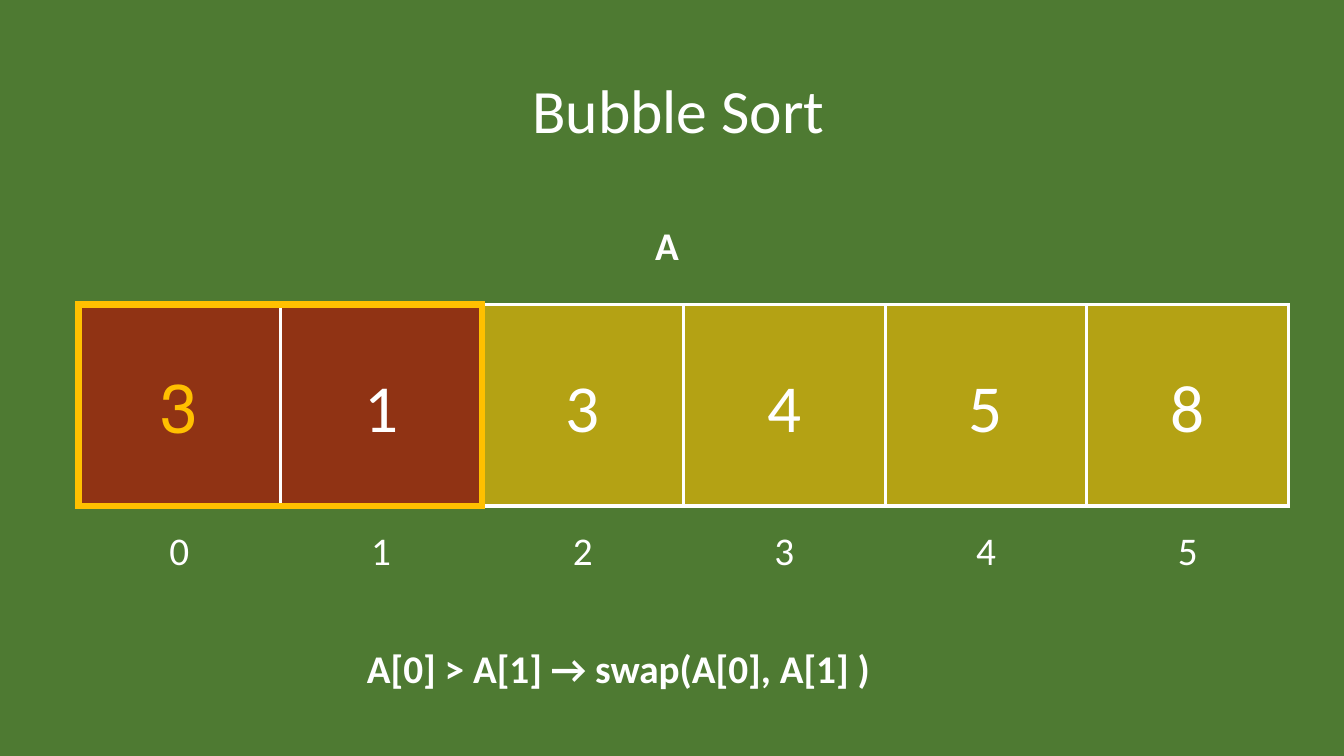
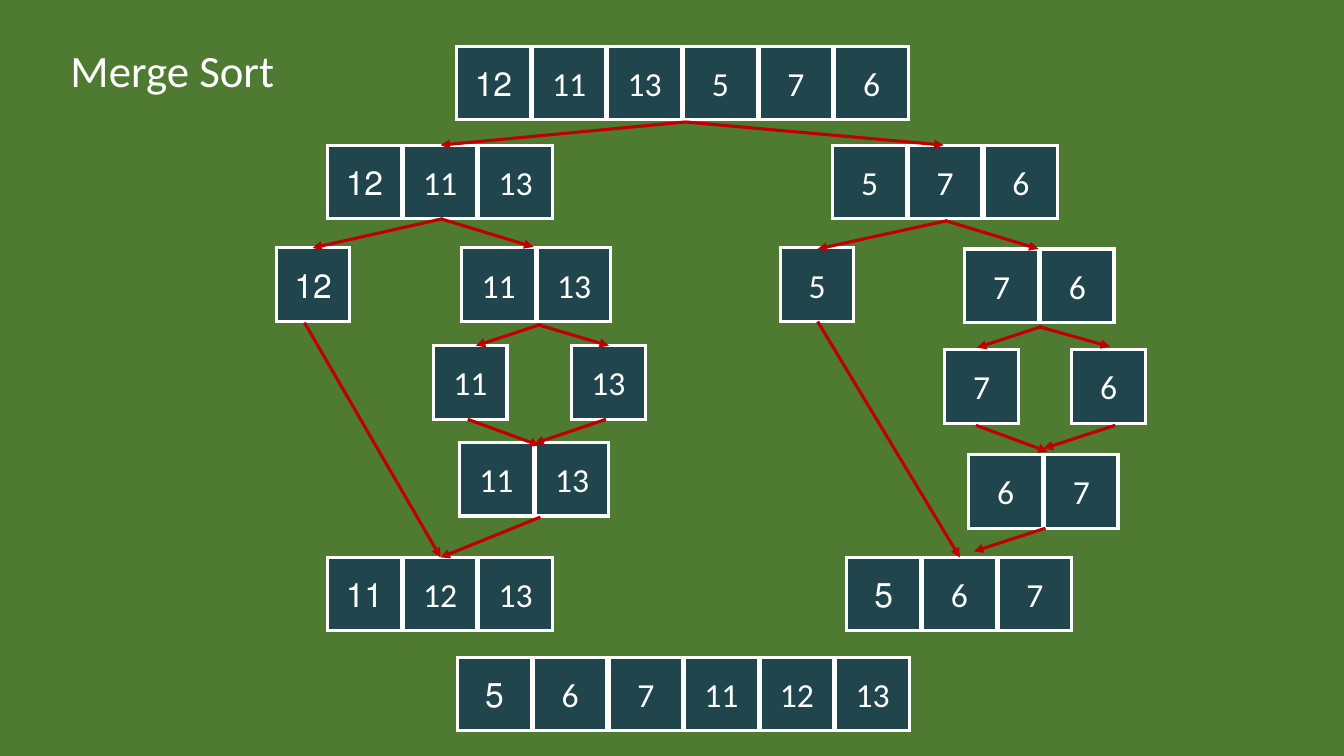
from lxml import etree
from pptx import Presentation
from pptx.dml.color import RGBColor
from pptx.enum import shapes, text
from pptx.oxml.ns import qn
from pptx.util import Inches, Pt

GREEN, WHITE, RED, GOLD, NAVY = "4E7A32", "FFFFFF", "C00000", "FFC000", "002060"
rgb = RGBColor.from_string


def put_text(sp, content, size, color=WHITE, bold=False, align=text.PP_ALIGN.CENTER):
    sp.text_frame.text = content
    sp.text_frame.word_wrap = True
    p = sp.text_frame.paragraphs[0]
    p.alignment = align
    f = p.runs[0].font
    f.name, f.size, f.bold = "Calibri", Pt(size), bold
    f.color.rgb = rgb(color)
    return p


def add_rect(s, left, top, width, height, fill=None, line=WHITE, weight=2.25):
    sp = s.shapes.add_shape(shapes.MSO_SHAPE.RECTANGLE, Inches(left), Inches(top),
                            Inches(width), Inches(height))
    sp.shadow.inherit = False
    sp.line.color.rgb = rgb(line)
    sp.line.width = Pt(weight)
    spPr = sp._element.spPr
    etree.SubElement(spPr.find(qn("a:ln")), qn("a:miter"), lim="800000")
    if fill:
        sp.fill.solid()
        sp.fill.fore_color.rgb = rgb(fill)
        color = spPr.find(qn("a:solidFill"))[0]
        etree.SubElement(color, qn("a:alpha"), val="58000")
    else:
        sp.fill.background()
    return sp


prs = Presentation()
prs.slide_width, prs.slide_height = Inches(13.33), Inches(7.5)
bg = prs.slide_master.background.fill
bg.solid()
bg.fore_color.rgb = rgb(GREEN)

# Slides and titles: text, size, left, top, width
titles = [("Bubble Sort", 44, 0.98, 0.4, 11.5), ("Merge Sort", 32, 0.21, 0, 3)]
for title, size, left, top, width in titles:
    s = prs.slides.add_slide(prs.slide_layouts[5])
    sp = s.shapes.title
    sp.left, sp.top, sp.width, sp.height = (Inches(v) for v in (left, top, width, 1.45))
    sp.text_frame.vertical_anchor = text.MSO_ANCHOR.MIDDLE
    put_text(sp, title, size).line_spacing = 0.9
bubble, merge = prs.slides

# Bubble sort: array cells with their indices
LEFT, TOP, CELL = 0.78, 3.02, 2
for i, value in enumerate("313458"):
    x = LEFT + i * CELL
    sp = add_rect(bubble, x, TOP, CELL, CELL, RED if i < 2 else GOLD)
    p = put_text(sp, value, 48, GOLD if i == 0 else WHITE)
    if i == 0:
        p._p.get_or_add_pPr().set("rtl", "1")
    sp = bubble.shapes.add_textbox(Inches(x), Inches(5.17), Inches(CELL), Inches(0.57))
    put_text(sp, str(i), 28)

# Frame around the compared pair
add_rect(bubble, LEFT, TOP, 2 * CELL, CELL, line=GOLD, weight=4.5)

# Array name and comparison
for content, left, top, width in [("A", 6.4, 2.15, 0.54),
                                  ("A[0] > A[1] → swap(A[0], A[1] )", 3.54, 6.34, 6.79)]:
    sp = bubble.shapes.add_textbox(Inches(left), Inches(top), Inches(width), Inches(0.57))
    put_text(sp, content, 28, bold=True, align=text.PP_ALIGN.LEFT)

# Merge sort arrays: left, top, values, first cell right-to-left
SIDE, PITCH = 0.73, 0.75
arrays = [
    (4.53, 0.46, [12, 11, 13, 5, 7, 6], True),
    (3.25, 1.44, [12, 11, 13], True),
    (8.26, 1.44, [5, 7, 6], False),
    (2.74, 2.46, [12], True),
    (4.58, 2.46, [11, 13], False),
    (7.74, 2.46, [5], False),
    (9.57, 2.47, [7, 6], False),
    (4.3, 3.43, [11], False),
    (5.67, 3.43, [13], False),
    (9.37, 3.47, [7], False),
    (10.63, 3.47, [6], False),
    (4.56, 4.39, [11, 13], False),
    (9.61, 4.51, [6, 7], False),
    (3.25, 5.53, [11, 12, 13], True),
    (8.4, 5.53, [5, 6, 7], True),
    (4.54, 6.52, [5, 6, 7, 11, 12, 13], True),
]
for left, top, values, rtl in arrays:
    for i, value in enumerate(values):
        sp = add_rect(merge, left + i * PITCH, top, SIDE, SIDE, NAVY)
        p = put_text(sp, str(value), 24)
        if rtl and i == 0:
            p._p.get_or_add_pPr().set("rtl", "1")

# Arrows: from x, from y, to x, to y
arrows = [
    # splitting
    (6.8, 1.21, 4.37, 1.44), (6.8, 1.21, 9.36, 1.44),
    (4.39, 2.17, 3.1, 2.46), (4.37, 2.17, 5.29, 2.45),
    (9.39, 2.19, 8.11, 2.47), (9.38, 2.19, 10.3, 2.47),
    (5.36, 3.22, 4.72, 3.43), (5.33, 3.22, 6.04, 3.43),
    (10.33, 3.24, 9.69, 3.45), (10.3, 3.24, 11.01, 3.44),
    # merging
    (4.64, 4.16, 5.35, 4.42), (6.01, 4.16, 5.3, 4.4),
    (9.68, 4.22, 10.39, 4.48), (11.06, 4.22, 10.35, 4.45),
    (3.02, 3.2, 4.37, 5.53), (5.36, 5.13, 4.37, 5.53),
    (8.11, 3.19, 9.52, 5.53), (10.37, 5.24, 9.66, 5.47),
]
for ends in arrows:
    c = merge.shapes.add_connector(shapes.MSO_CONNECTOR.STRAIGHT, *(Inches(v) for v in ends))
    c.line.color.rgb = rgb(RED)
    c.line.width = Pt(2.25)
    spPr = c._element.spPr
    etree.SubElement(spPr.find(qn("a:ln")), qn("a:tailEnd"), type="triangle")
    etree.SubElement(spPr, qn("a:effectLst"))

prs.save("out.pptx")
